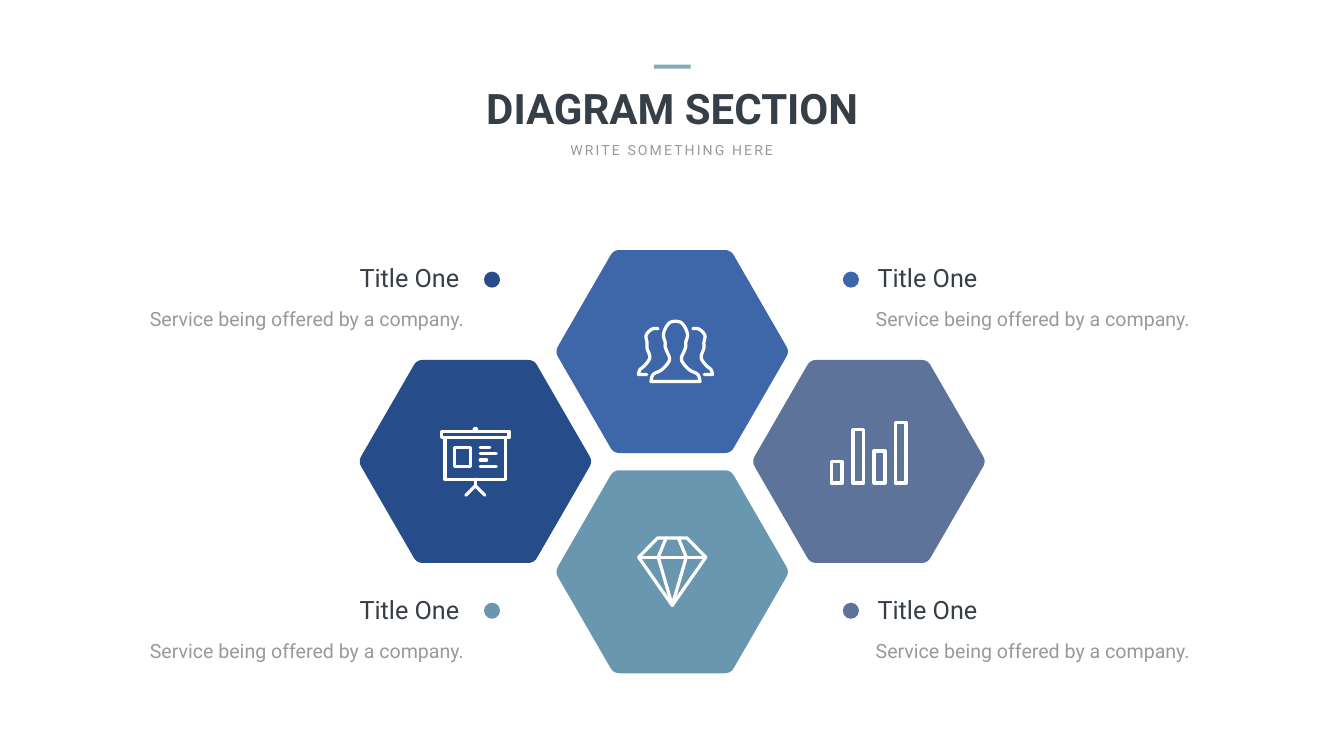
import math
from dataclasses import dataclass

import pptx
import pptx.dml.color
import pptx.enum.shapes
import pptx.enum.text
import pptx.oxml
import pptx.oxml.ns
import pptx.util

Pt = pptx.util.Pt
RGBColor = pptx.dml.color.RGBColor
Align = pptx.enum.text.PP_ALIGN
Preset = pptx.enum.shapes.MSO_SHAPE

NAVY = RGBColor(0x26, 0x4D, 0x89)
BLUE = RGBColor(0x3E, 0x67, 0xAA)
TEAL = RGBColor(0x69, 0x97, 0xAF)
SLATE = RGBColor(0x5D, 0x73, 0x9A)
ACCENT = RGBColor(0x84, 0xAC, 0xB6)
DARK = RGBColor(0x36, 0x3E, 0x48)
GREY = RGBColor(0x99, 0x99, 0x99)
WHITE = RGBColor(0xFF, 0xFF, 0xFF)

CENTRE_X = 960
HEXAGON_RADIUS = 167.4
CORNER_CUT = 8.6

Point = tuple[float, float]


@dataclass
class Stroke:
    points: list[Point]
    closed: bool = False


@dataclass
class Icon:
    left: float
    top: float
    unit: float  # stroke width, also the step of the icon's grid
    strokes: list[Stroke]


@dataclass
class Hexagon:
    x: float
    y: float
    color: RGBColor
    icon: Icon


@dataclass
class Caption:
    top: float
    dot_top: float
    on_left: bool
    color: RGBColor


def smooth_curve(points: list[Point], steps: int = 6) -> list[Point]:
    """Catmull-Rom curve through the points."""
    padded = [points[0], *points, points[-1]]
    curve = [points[0]]
    for a, b, c, d in zip(padded, padded[1:], padded[2:], padded[3:]):
        for step in range(1, steps + 1):
            t = step / steps
            curve.append(tuple(
                (2 * q + (r - p) * t + (2 * p - 5 * q + 4 * r - s) * t ** 2
                 + (3 * q - p - 3 * r + s) * t ** 3) / 2
                for p, q, r, s in zip(a, b, c, d)))
    return curve


def rectangle(left: float, top: float, right: float, bottom: float) -> Stroke:
    return Stroke([(left, top), (right, top), (right, bottom), (left, bottom)], True)


def mirror(points: list[Point], axis: float = 12) -> list[Point]:
    return [(2 * axis - x, y) for x, y in points]


def board_strokes() -> list[Stroke]:
    text_lines = [(6.5, 15.5), (8.5, 17.5), (10.5, 14.5), (12.5, 17.5)]
    return [
        rectangle(0.5, 1.5, 21.5, 3.5),
        rectangle(1.5, 3.5, 20.5, 16.5),
        rectangle(4.5, 6.5, 9.5, 12.5),
        Stroke([(10.5, 1), (11, 0.5), (11.5, 1)]),
        Stroke([(11, 16.5), (11, 18.5)]),
        Stroke([(8, 21.5), (11, 18.5), (14, 21.5)]),
        *[Stroke([(12.5, y), (end, y)]) for y, end in text_lines],
    ]


def people_strokes() -> list[Stroke]:
    front = smooth_curve([
        (12, 0.5), (13.7, 0.9), (15, 2.5), (15.75, 4.8), (15.2, 7), (15.2, 8.3),
        (14.8, 9.6), (13.85, 12.5), (16.2, 15.5), (18.9, 17), (19.6, 19.2)])
    back = smooth_curve([
        (17.4, 2.85), (18, 2.75), (19.55, 3.1), (21.1, 4.9), (20.8, 7.2), (20.8, 8.9),
        (19.95, 11.8), (21.5, 14.2), (23, 15.5), (23.5, 17)]) + [(20.9, 17)]
    return [Stroke(front + mirror(front)[::-1], True), Stroke(back), Stroke(mirror(back))]


def bar_strokes() -> list[Stroke]:
    return [rectangle(6 * i + 0.5, top + 0.5, 6 * i + 3.5, 17.5)
            for i, top in enumerate([11, 2, 8, 0])]


def diamond_strokes() -> list[Stroke]:
    return [
        Stroke([(6.5, 0.5), (15.5, 0.5), (21.4, 6.5), (11, 21.4), (0.6, 6.5)], True),
        Stroke([(0.6, 6.5), (21.4, 6.5)]),
        Stroke([(9.1, 0.5), (6.65, 6.5), (11, 21.4), (15.35, 6.5), (12.9, 0.5)]),
    ]


def draw_icon(page, icon: Icon) -> None:
    outline = page.shapes.build_freeform()
    for number, stroke in enumerate(icon.strokes):
        points = [(Pt(icon.left + x * icon.unit), Pt(icon.top + y * icon.unit))
                  for x, y in stroke.points]
        if number == 0:
            outline = page.shapes.build_freeform(*points[0])
        else:
            outline.move_to(*points[0])
        outline.add_line_segments(points[1:], close=stroke.closed)
    shape = outline.convert_to_shape()
    shape.shadow.inherit = False
    shape.fill.background()
    shape.line.color.rgb = WHITE
    shape.line.width = Pt(icon.unit)
    line = shape.line._get_or_add_ln()
    line.set("cap", "rnd")
    line.append(pptx.oxml.parse_xml(f'<a:round {pptx.oxml.ns.nsdecls("a")}/>'))


def draw_hexagon(page, hexagon: Hexagon) -> None:
    corners = [(hexagon.x + HEXAGON_RADIUS * math.cos(math.radians(60 * i)),
                hexagon.y + HEXAGON_RADIUS * math.sin(math.radians(60 * i)))
               for i in range(6)]
    cut = CORNER_CUT / HEXAGON_RADIUS
    points = []
    for i, corner in enumerate(corners):
        # Quadratic curve that rounds the corner between its two edges
        before, after = corners[i - 1], corners[(i + 1) % 6]
        for t in (0, 0.2, 0.4, 0.6, 0.8, 1):
            points.append(tuple(
                Pt(c + cut * ((1 - t) ** 2 * (b - c) + t ** 2 * (a - c)))
                for b, c, a in zip(before, corner, after)))
    outline = page.shapes.build_freeform(*points[0])
    outline.add_line_segments(points[1:], close=True)
    paint(outline.convert_to_shape(), hexagon.color)


def paint(shape, color: RGBColor) -> None:
    shape.shadow.inherit = False
    shape.fill.solid()
    shape.fill.fore_color.rgb = color
    shape.line.fill.background()


def add_preset(page, preset, area: tuple, color: RGBColor) -> None:
    paint(page.shapes.add_shape(preset, *map(Pt, area)), color)


def write(box, text: str, size: float, color: RGBColor, align, bold: bool = False,
          wrap: bool = True, inset: Point = (7.2, 3.6), line_spacing=1.0):
    across, down = map(Pt, inset)
    frame_format = {"margin_left": across, "margin_right": across, "margin_top": down,
                    "margin_bottom": down, "word_wrap": wrap,
                    "vertical_anchor": pptx.enum.text.MSO_ANCHOR.TOP}
    for name, value in frame_format.items():
        setattr(box.text_frame, name, value)
    para = box.text_frame.paragraphs[0]
    para.alignment, para.line_spacing = align, line_spacing
    span = para.add_run()
    span.text = text
    for name, value in {"name": "Roboto", "size": Pt(size), "bold": bold}.items():
        setattr(span.font, name, value)
    span.font.color.rgb = color
    return span


def draw_caption(page, caption: Caption) -> None:
    left = caption.on_left
    align = Align.RIGHT if left else Align.LEFT
    body = page.shapes.add_textbox(*map(Pt, (180.7 if left else 1233.4, caption.top + 49, 499, 57)))
    write(body, "Service being offered by a company.", 28, GREY, align,
          inset=(17.28, 8.64), line_spacing=Pt(43))
    heading = page.shapes.add_textbox(*map(Pt, (389.5 if left else 1246.3, caption.top, 273.6, 51)))
    write(heading, "Title One", 36, DARK, align)
    add_preset(page, Preset.OVAL, (691.2 if left else 1203.8, caption.dot_top, 23, 23), caption.color)


HEXAGONS = [
    Hexagon(CENTRE_X - 281, 659.2, NAVY, Icon(628.6, 609.1, 4.58, board_strokes())),
    Hexagon(CENTRE_X, 502.2, BLUE, Icon(909.4, 456.5, 4.61, people_strokes())),
    Hexagon(CENTRE_X, 816.8, TEAL, Icon(909.4, 766.1, 4.61, diamond_strokes())),
    Hexagon(CENTRE_X + 281, 659.2, SLATE, Icon(1185.1, 601.2, 5.07, bar_strokes())),
]
CAPTIONS = [
    Caption(371, 388, True, NAVY),
    Caption(371, 388, False, BLUE),
    Caption(846, 861, True, TEAL),
    Caption(846, 861, False, SLATE),
]


def main() -> None:
    deck = pptx.Presentation()
    deck.slide_width, deck.slide_height = Pt(1919.52), Pt(1080)
    page = deck.slides.add_slide(deck.slide_layouts[5])

    # Heading
    title = page.shapes.title
    for name, value in {"left": 589, "top": 114.5, "width": 742.3, "height": 80}.items():
        setattr(title, name, Pt(value))
    write(title, "DIAGRAM SECTION", 60, DARK, Align.CENTER, bold=True)
    subtitle = page.shapes.add_textbox(*map(Pt, (802.8, 198, 313.2, 31.7)))
    span = write(subtitle, "WRITE SOMETHING HERE", 20, GREY, Align.CENTER, wrap=False)
    span.font._element.set("spc", "300")
    add_preset(page, Preset.RECTANGLE, (933.8, 92.2, 52.6, 5.8), ACCENT)

    # Hexagons with their icons
    for hexagon in HEXAGONS:
        draw_hexagon(page, hexagon)
        draw_icon(page, hexagon.icon)

    # Captions
    for caption in CAPTIONS:
        draw_caption(page, caption)

    deck.save("out.pptx")


if __name__ == "__main__":
    main()
